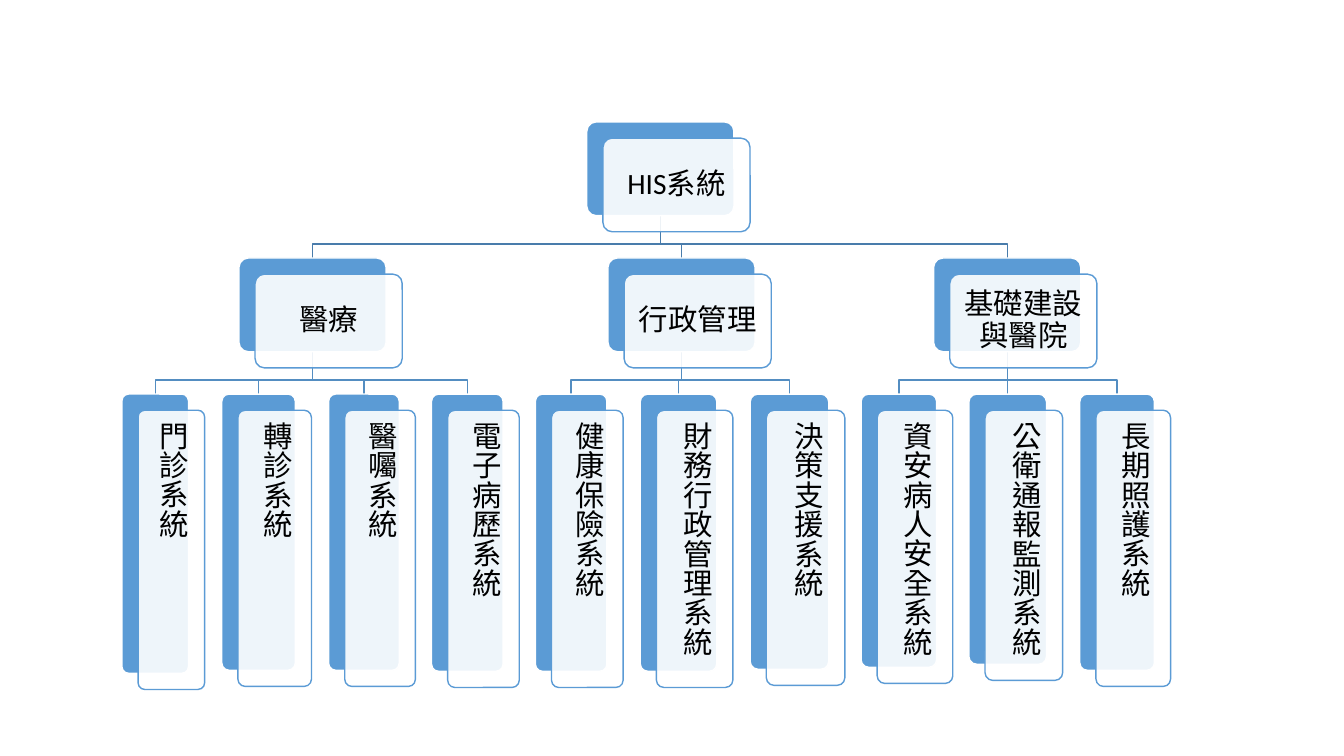
from dataclasses import dataclass

from lxml.etree import SubElement
from pptx import Presentation
from pptx.dml.color import RGBColor
from pptx.enum.shapes import MSO_CONNECTOR as Connector, MSO_SHAPE as Shape
from pptx.enum.text import MSO_ANCHOR as Anchor, PP_ALIGN as Align
from pptx.oxml.ns import qn
from pptx.util import Inches, Pt

# Grid: the slide is 1333 columns by 750 rows, one cell is 0.01 inch
CELL = Inches(0.01)
COLUMNS, ROWS = 1333, 750
FIRST_ROW, LEVEL_PITCH = 121, 135
HEAD_WIDTH, HEAD_HEIGHT = 146, 93
CARD_SHIFT = 16
BEND_RISE = 14
TEXT_INSET = 9

BLUE, WHITE, BLACK = "5B9BD5", "FFFFFF", "000000"
LINK_COLOURS = ("497CAB", "538DC1")


@dataclass(frozen=True)
class Node:
    label: str
    left: int
    width: int = HEAD_WIDTH
    height: int = HEAD_HEIGHT
    vertical: bool = False
    children: tuple["Node", ...] = ()

    @property
    def centre(self) -> float:
        return self.left + self.width / 2


def leaf(label: str, left: int, width: int, height: int) -> Node:
    return Node(label, left, width, height, vertical=True)


HOSPITAL = Node("HIS系統", 582, children=(
    Node("醫療", 237, children=(
        leaf("門診系統", 121, 66, 277),
        leaf("轉診系統", 220, 73, 274),
        leaf("醫囑系統", 326, 70, 274),
        leaf("電子病歷系統", 428, 71, 275),
    )),
    Node("行政管理", 603, children=(
        leaf("健康保險系統", 531, 71, 275),
        leaf("財務行政管理系統", 635, 76, 275),
        leaf("決策支援系統", 744, 78, 273),
    )),
    Node("基礎建設與醫院", 926, children=(
        leaf("資安病人安全系統", 854, 75, 271),
        leaf("公衛通報監測系統", 961, 77, 268),
        leaf("長期照護系統", 1071, 74, 274),
    )),
))


def colour(value: str) -> RGBColor:
    return RGBColor.from_string(value)


def cells(count: float) -> int:
    return round(count * CELL)


def top_of(level: int) -> int:
    return FIRST_ROW + LEVEL_PITCH * level


def set_line(shape, value: str) -> None:
    shape.line.color.rgb = colour(value)
    shape.line.width = Pt(1)


def add_text(box, text: str, *, size: float = 21, font: str = "Calibri",
             ink: str = BLACK, vertical: bool = False) -> None:
    frame = box.text_frame
    frame.word_wrap = True
    frame.vertical_anchor = Anchor.MIDDLE
    frame.margin_left = frame.margin_right = cells(TEXT_INSET)
    frame.margin_top = frame.margin_bottom = cells(TEXT_INSET)
    if vertical:
        frame._txBody.bodyPr.set("vert", "eaVert")
    para = frame.paragraphs[0]
    para.alignment = Align.CENTER
    para.line_spacing = 0.9
    para.space_after = Pt(size * 0.35)
    span = para.add_run()
    span.text = text
    span.font.size = Pt(size)
    span.font.name = font
    span.font.color.rgb = colour(ink)
    span._r.get_or_add_rPr().set("lang", "zh-TW")


def add_card(page, node: Node, top: int, *, shift: int, fill: str, line: str,
             opacity: int = 100):
    card = page.shapes.add_shape(
        Shape.ROUNDED_RECTANGLE, cells(node.left + shift), cells(top + shift),
        cells(node.width), cells(node.height))
    card.adjustments[0] = 0.1
    card.shadow.inherit = False
    card.fill.solid()
    card.fill.fore_color.rgb = colour(fill)
    if opacity < 100:
        tint = card._element.spPr.find(qn("a:solidFill"))[0]
        SubElement(tint, qn("a:alpha")).set("val", str(opacity * 1000))
    set_line(card, line)
    return card


def add_link(page, parent: Node, child: Node, level: int) -> None:
    start = top_of(level) + parent.height
    end = top_of(level + 1)
    bend = end - BEND_RISE
    if abs(parent.centre - child.centre) < 1:
        x = cells(parent.centre)
        link = page.shapes.add_connector(
            Connector.STRAIGHT, x, cells(start), x, cells(end))
        SubElement(link._element.spPr, qn("a:effectLst"))
    else:
        outline = page.shapes.build_freeform(
            cells(parent.centre), cells(start))
        corners = ((parent.centre, bend), (child.centre, bend),
                   (child.centre, end))
        outline.add_line_segments(
            [(cells(x), cells(y)) for x, y in corners], close=False)
        link = outline.convert_to_shape()
        link.shadow.inherit = False
        link.fill.background()
    set_line(link, LINK_COLOURS[level])


def draw_links(page, node: Node, level: int = 0) -> None:
    for child in node.children:
        draw_links(page, child, level + 1)
        add_link(page, node, child, level)


def draw_cards(page, node: Node, level: int = 0) -> None:
    top = top_of(level)
    add_card(page, node, top, shift=0, fill=BLUE, line=WHITE)
    front = add_card(page, node, top, shift=CARD_SHIFT, fill=WHITE,
                     line=BLUE, opacity=90)
    add_text(front, node.label, vertical=node.vertical)
    for child in node.children:
        draw_cards(page, child, level + 1)


def main() -> None:
    deck = Presentation()
    deck.slide_width, deck.slide_height = cells(COLUMNS), cells(ROWS)
    page = deck.slides.add_slide(deck.slide_layouts[6])
    # Links lie behind the cards
    draw_links(page, HOSPITAL)
    draw_cards(page, HOSPITAL)
    deck.save("out.pptx")


if __name__ == "__main__":
    main()
